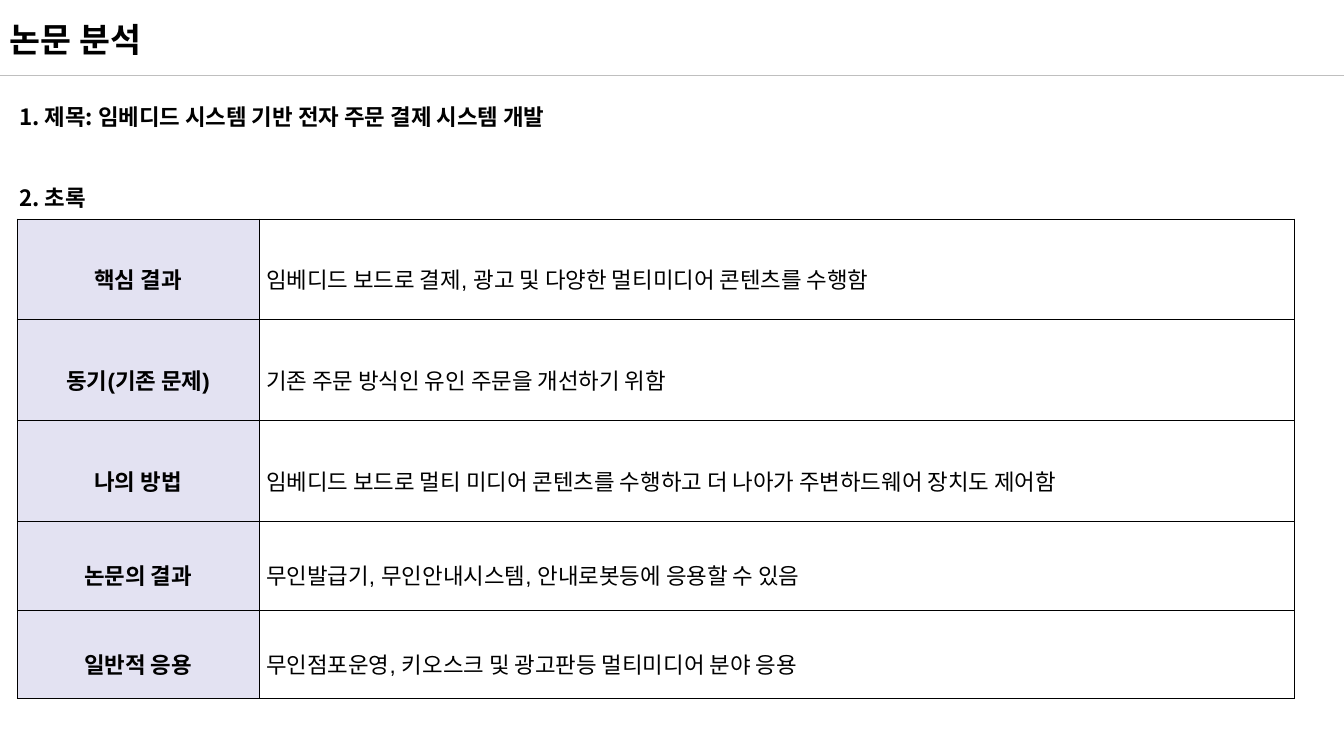
"""Build the paper analysis slide with its abstract table."""
from typing import NamedTuple

from lxml import etree
from pptx import Presentation
from pptx.dml.color import RGBColor
from pptx.enum.shapes import MSO_CONNECTOR
from pptx.enum.text import MSO_ANCHOR, MSO_AUTO_SIZE, PP_ALIGN
from pptx.oxml.ns import qn
from pptx.util import Inches, Pt

LINE = MSO_CONNECTOR.STRAIGHT
MIDDLE = MSO_ANCHOR.MIDDLE
GROW = MSO_AUTO_SIZE.SHAPE_TO_FIT_TEXT
CENTER, JUSTIFY = PP_ALIGN.CENTER, PP_ALIGN.JUSTIFY
KOREAN, LATIN = "Noto Sans CJK KR", "Arial"
BLACK, GRAY, LILAC = "000000", "BFBFBF", "E3E2F2"
WIDTH = 13.33


class Para(NamedTuple):
    text: str
    size: float = 16
    space: float = 1.5
    before: float = 0


class Box(NamedTuple):
    left: float
    top: float
    width: float
    height: float
    paras: list[Para]


class Row(NamedTuple):
    label: str
    text: str
    height: float


BOXES = [
    Box(0, 0.14, 12.84, 0.5, [Para("논문 분석", 24, 1)]),
    Box(0.09, 0.84, 12.85, 1.72, [
        Para("1. 제목: 임베디드 시스템 기반 전자 주문 결제 시스템 개발"),
        Para("2. 초록", before=29),
    ]),
]
ROWS = [
    Row("핵심 결과", "임베디드 보드로 결제, 광고 및 다양한 멀티미디어 콘텐츠를 수행함", 1),
    Row("동기(기존 문제)", "기존 주문 방식인 유인 주문을 개선하기 위함", 1),
    Row("나의 방법",
        "임베디드 보드로 멀티 미디어 콘텐츠를 수행하고 더 나아가 주변하드웨어 장치도 제어함", 1),
    Row("논문의 결과", "무인발급기, 무인안내시스템, 안내로봇등에 응용할 수 있음", 0.88),
    Row("일반적 응용", "무인점포운영, 키오스크 및 광고판등 멀티미디어 분야 응용", 0.88),
]
COLS = [2.4, 10.27]


def color(code: str) -> RGBColor:
    """Turn a hex string into a colour."""
    return RGBColor.from_string(code)


def write(para, item: Para, face: str, bold: bool) -> None:
    """Fill a paragraph with one styled run."""
    para.line_spacing = item.space
    para.space_before = Pt(item.before)
    run = para.add_run()
    run.text = item.text
    font = run.font
    font.size, font.bold, font.name = Pt(item.size), bold, face
    font.color.rgb = color(BLACK)
    etree.SubElement(run._r.get_or_add_rPr(), qn("a:ea"), typeface=KOREAN)


def draw_rule(slide) -> None:
    """Draw the line under the heading."""
    rule = slide.shapes.add_connector(
        LINE, Inches(0), Inches(0.75), Inches(WIDTH), Inches(0.75))
    rule.line.color.rgb = color(GRAY)
    rule.line.width = Pt(0.5)
    etree.SubElement(rule._element.spPr, qn("a:effectLst"))


def draw_box(slide, box: Box) -> None:
    """Draw a text box with its paragraphs."""
    frame = slide.shapes.add_textbox(*map(Inches, box[:4])).text_frame
    frame.word_wrap = True
    frame.auto_size = GROW
    for index, item in enumerate(box.paras):
        para = frame.add_paragraph() if index else frame.paragraphs[0]
        write(para, item, KOREAN, True)


def add_edges(cell) -> None:
    """Give a cell thin black borders."""
    props = cell._tc.get_or_add_tcPr()
    for side in ("lnL", "lnR", "lnT", "lnB"):
        edge = etree.SubElement(props, qn(f"a:{side}"), w=str(Pt(0.28)))
        fill = etree.SubElement(edge, qn("a:solidFill"))
        etree.SubElement(fill, qn("a:srgbClr"), val=BLACK)


def fill_cell(cell, text: str, head: bool) -> None:
    """Style one cell as a label or as body text."""
    add_edges(cell)
    if head:
        cell.fill.solid()
        cell.fill.fore_color.rgb = color(LILAC)
    else:
        cell.fill.background()
    cell.vertical_anchor = MIDDLE
    cell.margin_left = cell.margin_right = Inches(0.07)
    cell.margin_top = cell.margin_bottom = Inches(0.02)
    para = cell.text_frame.paragraphs[0]
    para.alignment = CENTER if head else JUSTIFY
    write(para, Para(text, space=1.6), LATIN, head)


def draw_table(slide) -> None:
    """Draw the abstract table."""
    total = sum(row.height for row in ROWS)
    table = slide.shapes.add_table(
        len(ROWS), len(COLS), Inches(0.17), Inches(2.17),
        Inches(sum(COLS)), Inches(total)).table
    table.first_row = table.horz_banding = False
    for col, width in zip(table.columns, COLS):
        col.width = Inches(width)
    for index, row in enumerate(ROWS):
        table.rows[index].height = Inches(row.height)
        fill_cell(table.cell(index, 0), row.label, True)
        fill_cell(table.cell(index, 1), row.text, False)


def main() -> None:
    """Build and save the slide."""
    deck = Presentation()
    deck.slide_width, deck.slide_height = Inches(WIDTH), Inches(7.5)
    slide = deck.slides.add_slide(deck.slide_layouts[6])
    draw_rule(slide)
    for box in BOXES:
        draw_box(slide, box)
    draw_table(slide)
    deck.save("out.pptx")


main()
